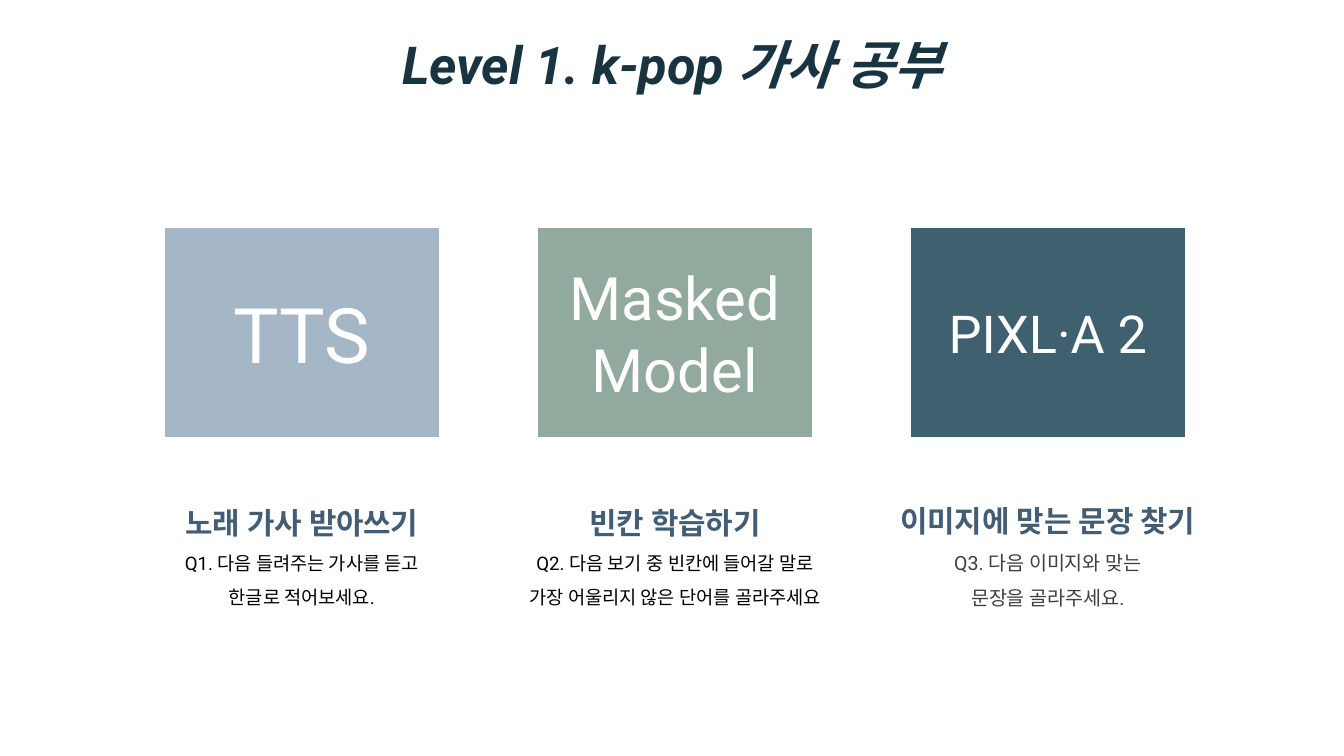
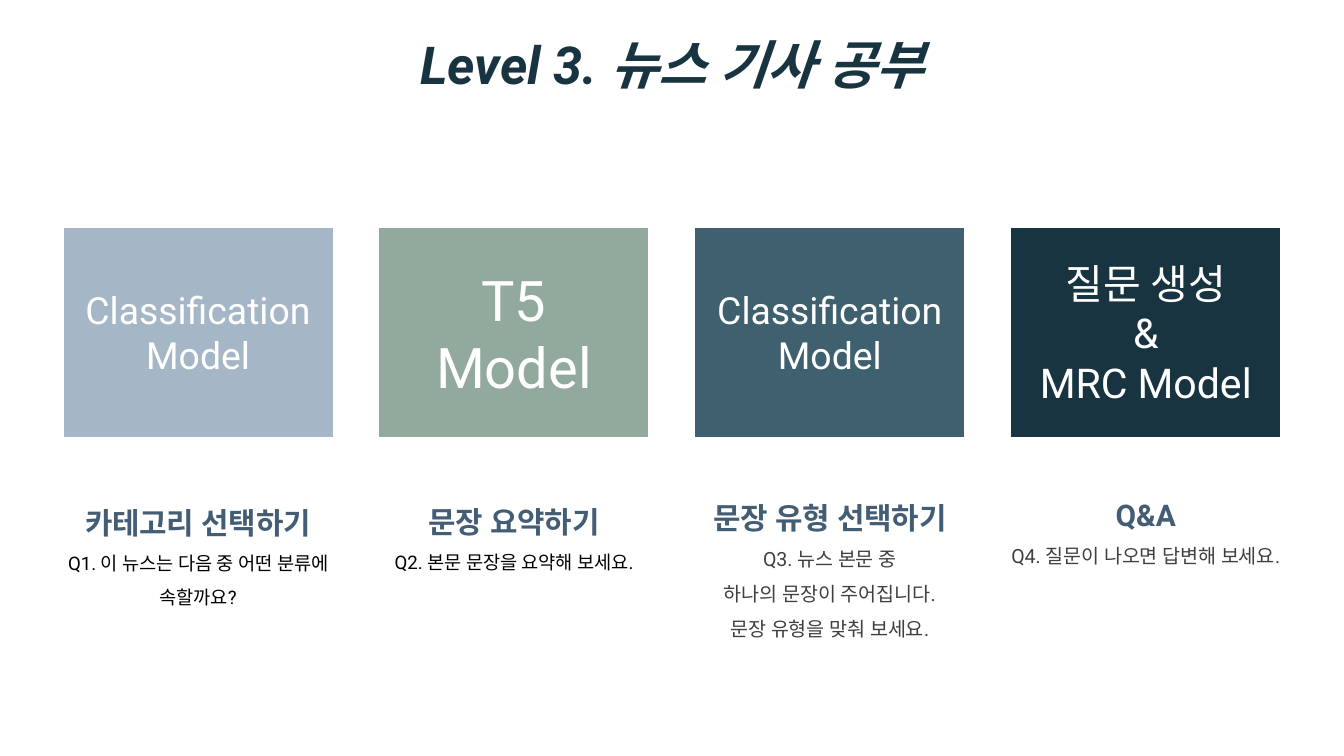
from dataclasses import dataclass

from lxml import etree
from pptx import Presentation
from pptx.dml.color import RGBColor
from pptx.enum.shapes import MSO_SHAPE
from pptx.enum.text import MSO_ANCHOR, MSO_AUTO_SIZE, PP_ALIGN
from pptx.oxml.ns import qn
from pptx.util import Cm, Pt

RECT = MSO_SHAPE.RECTANGLE
MIDDLE = MSO_ANCHOR.MIDDLE
NO_FIT = MSO_AUTO_SIZE.NONE
CENTER = PP_ALIGN.CENTER

# Shared style
FONT = "Roboto"
WHITE, BLACK, GREY = "FFFFFF", "000000", "3F3F3F"
NAVY, SLATE = "193441", "435D74"
CARD_FILLS = ["A5B7C6", "91AA9D", "3E606F", NAVY]
SLIDE_W, SLIDE_H = 25.4, 14.29
CARD_TOP, CARD_H = 4.29, 3.99
TITLE_ONLY = 5

HEADING = {"size": Pt(16), "bold": True, "italic": False}
QUESTION = {"size": Pt(10), "bold": False, "italic": False}
QUESTION_LARGE = {**QUESTION, "size": Pt(10.5)}
TITLE = {"size": Pt(28), "bold": True, "italic": True}


def rgb(value):
    return RGBColor.from_string(value)


@dataclass
class Card:
    label: list
    size: float
    heading: str
    question: list
    width: float  # caption box
    top: float = 8.81
    height: float = 3.07
    large: bool = False


class Deck:
    def __init__(self):
        self.prs = Presentation()
        self.prs.slide_width, self.prs.slide_height = Cm(SLIDE_W), Cm(SLIDE_H)
        self.s = None

    def frame(self, sp, inset_x, inset_y):
        tf = sp.text_frame
        settings = {
            "word_wrap": True, "auto_size": NO_FIT, "vertical_anchor": MIDDLE,
            "margin_left": Cm(inset_x), "margin_right": Cm(inset_x),
            "margin_top": Cm(inset_y), "margin_bottom": Cm(inset_y),
        }
        for name, value in settings.items():
            setattr(tf, name, value)
        return tf

    def add_lines(self, tf, lines, spacing=1.0):
        """Fill a frame with (text, format, colour) lines."""
        for i, (text, style, color) in enumerate(lines):
            p = tf.add_paragraph() if i else tf.paragraphs[0]
            p.alignment, p.line_spacing = CENTER, spacing
            r = p.add_run()
            r.text = text
            for name, value in {"name": FONT, **style}.items():
                setattr(r.font, name, value)
            r.font.color.rgb = rgb(color)
            # Hangul takes its typeface from the East Asian font
            rpr = r._r.get_or_add_rPr()
            etree.SubElement(rpr, qn("a:ea")).set("typeface", FONT)

    def slide(self, title):
        self.s = self.prs.slides.add_slide(self.prs.slide_layouts[TITLE_ONLY])
        sp = self.s.shapes.title
        sp.left, sp.top, sp.width, sp.height = Cm(0), Cm(0.36), Cm(SLIDE_W), Cm(1.7)
        self.add_lines(self.frame(sp, 0.25, 0.25), [(title, TITLE, NAVY)])

    def box(self, left, width, fill, label, size):
        sp = self.s.shapes.add_shape(RECT, Cm(left), Cm(CARD_TOP), Cm(width), Cm(CARD_H))
        sp.shadow.inherit = False
        sp.fill.solid()
        sp.fill.fore_color.rgb = rgb(fill)
        sp.line.color.rgb = rgb(WHITE)
        sp.line.width = Pt(0.75)
        style = {"size": Pt(size)}
        self.add_lines(self.frame(sp, 0.25, 0.25), [(text, style, WHITE) for text in label])

    def caption(self, center, card):
        sp = self.s.shapes.add_textbox(Cm(center - card.width / 2), Cm(card.top),
                                       Cm(card.width), Cm(card.height))
        style, color = (QUESTION_LARGE, GREY) if card.large else (QUESTION, BLACK)
        lines = [(card.heading, HEADING, SLATE)]
        lines += [(text, style, color) for text in card.question]
        self.add_lines(self.frame(sp, 0.18, 0.1), lines, 1.5)

    def card_row(self, left, width, pitch, cards):
        """Place equally spaced cards, each with a caption centred below."""
        for i, (card, fill) in enumerate(zip(cards, CARD_FILLS)):
            x = left + i * pitch
            self.box(x, width, fill, card.label, card.size)
            self.caption(x + width / 2, card)


def main():
    deck = Deck()

    # Level 1: song lyrics
    deck.slide("Level 1. k-pop 가사 공부")
    deck.card_row(3.1, 5.21, 7.05, [
        Card(["TTS"], 41, "노래 가사 받아쓰기",
             ["Q1. 다음 들려주는 가사를 듣고", "한글로 적어보세요."], 6.02),
        Card(["Masked", "Model"], 32, "빈칸 학습하기",
             ["Q2. 다음 보기 중 빈칸에 들어갈 말로",
              "가장 어울리지 않은 단어를 골라주세요"], 6.55),
        Card(["PIXL·A 2"], 28, "이미지에 맞는 문장 찾기",
             ["Q3. 다음 이미지와 맞는", "문장을 골라주세요."], 6.73, large=True),
    ])

    # Level 3: news articles
    deck.slide("Level 3. 뉴스 기사 공부")
    deck.card_row(1.19, 5.11, 5.97, [
        Card(["Classification", "Model"], 20, "카테고리 선택하기",
             ["Q1. 이 뉴스는 다음 중 어떤 분류에 속할까요?"], 6.02),
        Card(["T5", "Model"], 30, "문장 요약하기",
             ["Q2. 본문 문장을 요약해 보세요."], 6.02, 8.74, 2.54),
        Card(["Classification", "Model"], 20, "문장 유형 선택하기",
             ["Q3. 뉴스 본문 중", "하나의 문장이 주어집니다.",
              "문장 유형을 맞춰 보세요."], 6.55, 9.07, large=True),
        Card(["질문 생성", "&", "MRC Model"], 22, "Q&A",
             ["Q4. 질문이 나오면 답변해 보세요."], 6.73, 8.74, 2.29, large=True),
    ])

    deck.prs.save("out.pptx")


if __name__ == "__main__":
    main()
